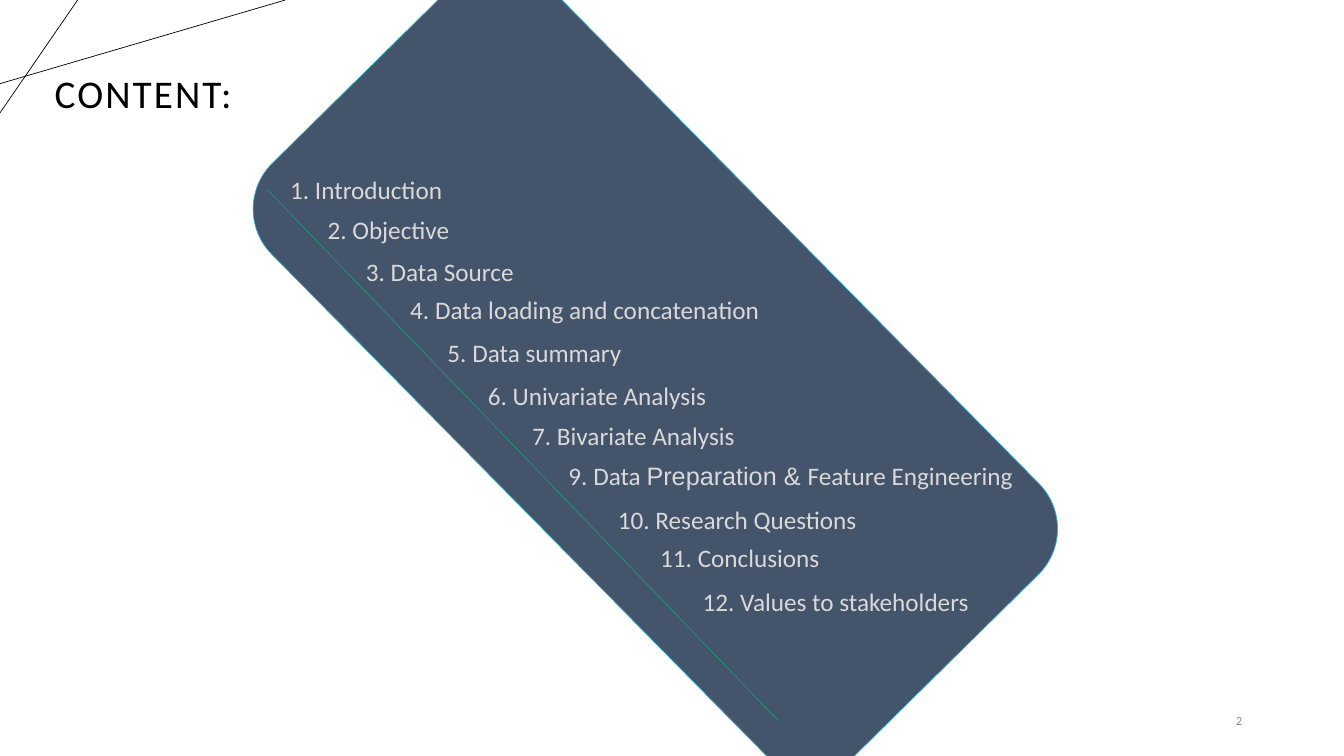
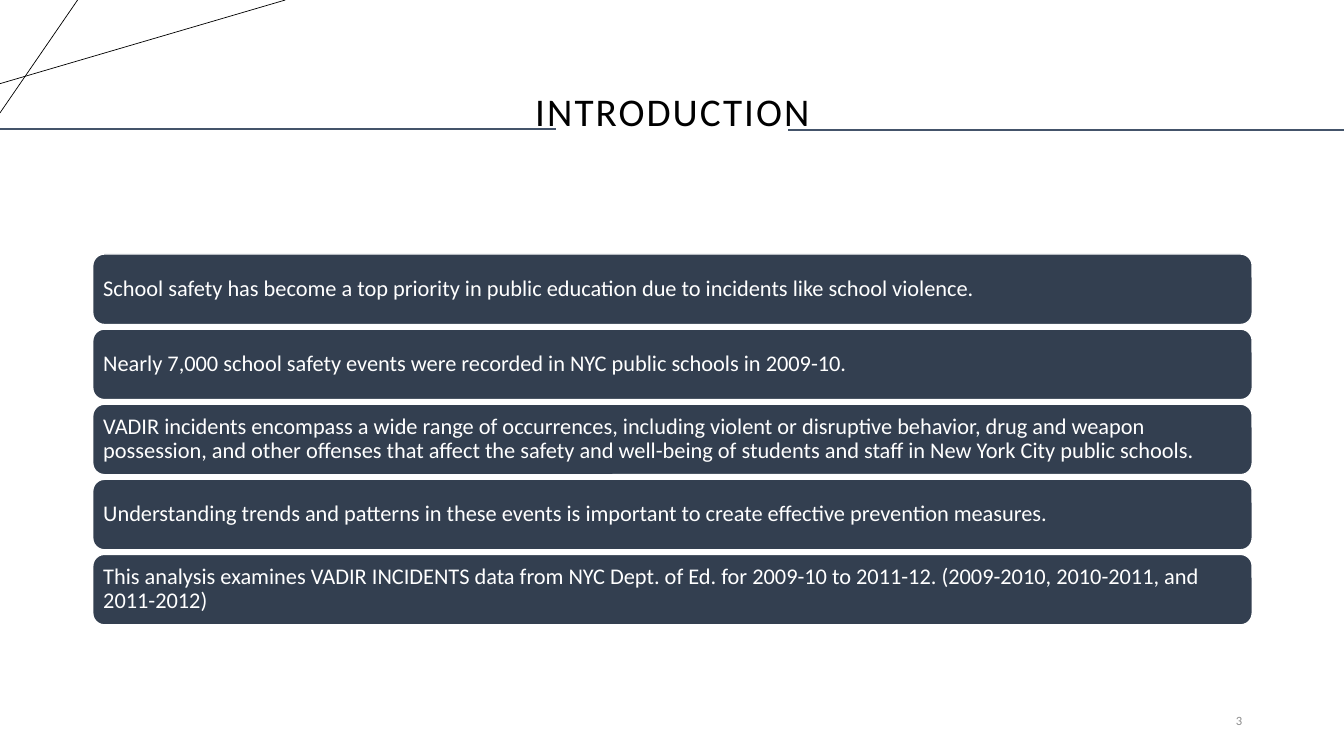
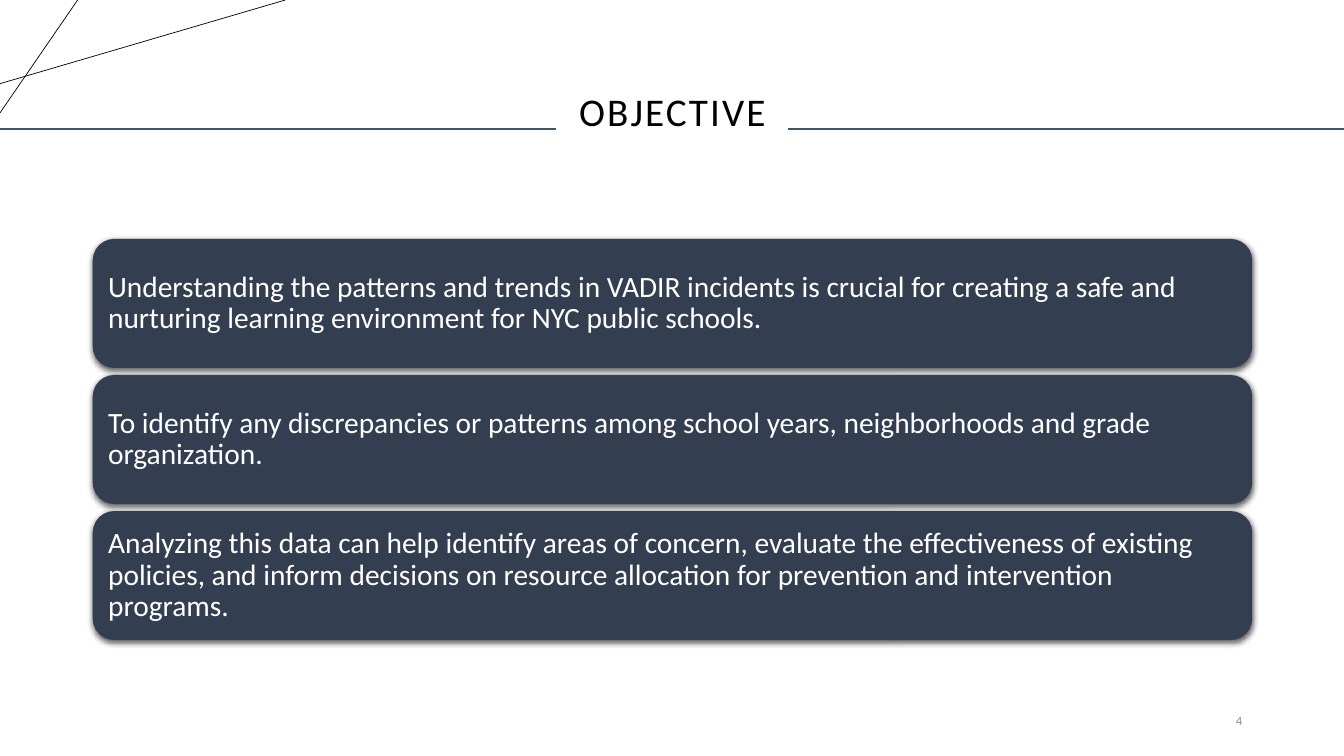
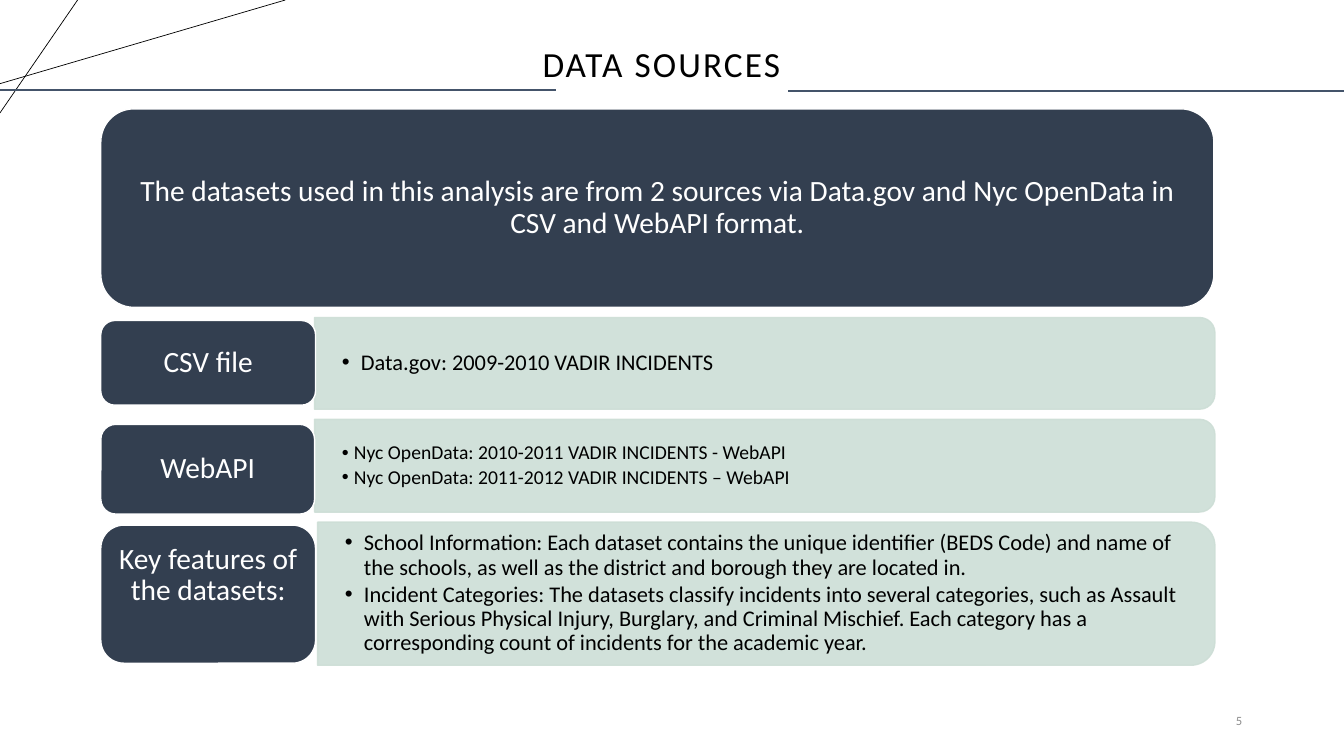
from lxml import etree
from pptx import Presentation
from pptx.dml.color import RGBColor
from pptx.enum.shapes import MSO_CONNECTOR, MSO_SHAPE
from pptx.enum.text import MSO_ANCHOR, PP_ALIGN
from pptx.oxml.ns import qn
from pptx.util import Inches, Pt

STRAIGHT = MSO_CONNECTOR.STRAIGHT
ROUNDED = MSO_SHAPE.ROUNDED_RECTANGLE
TWO_ROUNDED = MSO_SHAPE.ROUND_2_SAME_RECTANGLE
TOP, MIDDLE = MSO_ANCHOR.TOP, MSO_ANCHOR.MIDDLE
LEFT, CENTER, RIGHT = PP_ALIGN.LEFT, PP_ALIGN.CENTER, PP_ALIGN.RIGHT

BLACK = RGBColor(0x00, 0x00, 0x00)
WHITE = RGBColor(0xFF, 0xFF, 0xFF)
SLATE = RGBColor(0x44, 0x54, 0x6A)
NAVY = RGBColor(0x33, 0x3F, 0x50)
SAGE = RGBColor(0xCD, 0xDE, 0xD6)
CYAN = RGBColor(0x36, 0xAF, 0xCE)
GREEN = RGBColor(0x1D, 0x9A, 0x78)
PALE_GRAY = RGBColor(0xD9, 0xD9, 0xD9)
GRAY = RGBColor(0x8C, 0x8C, 0x8C)

FONT = "Calibri"
SLIDE_W, SLIDE_H = 13.33, 7.5
DEFAULT_INSETS = (0.1, 0.05, 0.1, 0.05)
LABEL_INSETS = (0.09, 0.04, 0.09, 0.04)
TITLE_BOX = (0.92, 0.4, 11.5, 1.45)
BAR_LEFT, BAR_W = 0.92, 11.5
PANEL_RIGHT = 12.05
LABEL_LEFT = 1

# left, top, width, runs of (text, font)
AGENDA = [
    (2.78, 1.68, 1.73, [("1. Introduction", FONT)]),
    (3.15, 2.08, 1.42, [("2. Objective", FONT)]),
    (3.53, 2.49, 1.68, [("3. Data Source", FONT)]),
    (3.97, 2.87, 3.71, [("4. Data loading and concatenation", FONT)]),
    (4.34, 3.3, 1.94, [("5. Data summary", FONT)]),
    (4.74, 3.72, 2.39, [("6. Univariate Analysis", FONT)]),
    (5.18, 4.12, 2.23, [("7. Bivariate Analysis", FONT)]),
    (5.54, 4.52, 4.63, [("9. Data ", FONT), ("Preparation & ", "Arial"),
                        ("Feature Engineering", FONT)]),
    (6.03, 4.95, 2.6, [("10. Research Questions", FONT)]),
    (6.45, 5.33, 1.8, [("11. Conclusions", FONT)]),
    (6.87, 5.77, 2.87, [("12. Values to stakeholders", FONT)]),
]

INTRODUCTION = [
    "School safety has become a top priority in public education due to incidents like school violence.",
    "Nearly 7,000 school safety events were recorded in NYC public schools in 2009-10.",
    "VADIR incidents encompass a wide range of occurrences, including violent or disruptive behavior, "
    "drug and weapon possession, and other offenses that affect the safety and well-being of students "
    "and staff in New York City public schools.",
    "Understanding trends and patterns in these events is important to create effective prevention measures.",
    "This analysis examines VADIR INCIDENTS data from NYC Dept. of Ed. for 2009-10 to 2011-12. "
    "(2009-2010, 2010-2011, and 2011-2012)",
]

OBJECTIVES = [
    "Understanding the patterns and trends in VADIR incidents is crucial for creating a safe and "
    "nurturing learning environment for NYC public schools.",
    "To identify any discrepancies or patterns among school years, neighborhoods and grade organization.",
    "Analyzing this data can help identify areas of concern, evaluate the effectiveness of existing "
    "policies, and inform decisions on resource allocation for prevention and intervention programs.",
]

SOURCE_SUMMARY = ("The datasets used in this analysis are from 2 sources via Data.gov and Nyc OpenData "
                  "in CSV and WebAPI format.")
CSV_POINTS = ["Data.gov: 2009-2010 VADIR INCIDENTS"]
WEBAPI_POINTS = [
    "Nyc OpenData: 2010-2011 VADIR INCIDENTS - WebAPI",
    "Nyc OpenData: 2011-2012 VADIR INCIDENTS – WebAPI",
]
FEATURE_POINTS = [
    "School Information: Each dataset contains the unique identifier (BEDS Code) and name of the "
    "schools, as well as the district and borough they are located in.",
    "Incident Categories: The datasets classify incidents into several categories, such as Assault "
    "with Serious Physical Injury, Burglary, and Criminal Mischief. Each category has a corresponding "
    "count of incidents for the academic year.",
]


def add_line(slide, start, end, color, weight):
    line = slide.shapes.add_connector(STRAIGHT, *map(Inches, start + end))
    line.line.color.rgb = color
    line.line.width = Pt(weight)
    etree.SubElement(line.element.spPr, qn("a:effectLst"))


def add_block(slide, kind, box, fill, outline=None, weight=1):
    block = slide.shapes.add_shape(kind, *map(Inches, box))
    block.shadow.inherit = False
    block.fill.solid()
    block.fill.fore_color.rgb = fill
    if outline is None:
        block.line.fill.background()
    else:
        block.line.color.rgb = outline
        block.line.width = Pt(weight)
    return block


def set_frame(shape, insets=DEFAULT_INSETS, anchor=MIDDLE, wrap=True):
    frame = shape.text_frame
    frame.word_wrap = wrap
    frame.vertical_anchor = anchor
    (frame.margin_left, frame.margin_top,
     frame.margin_right, frame.margin_bottom) = map(Inches, insets)
    return frame


def add_text_box(slide, box, **frame_options):
    return set_frame(slide.shapes.add_textbox(*map(Inches, box)), **frame_options)


def style_paragraph(paragraph, align=LEFT, spacing=None, after=None):
    paragraph.alignment = align
    paragraph.line_spacing = spacing
    if after is not None:
        paragraph.space_after = Pt(after)


def add_run(paragraph, text, size, color, font=FONT):
    run = paragraph.add_run()
    run.text = text
    run.font.size = Pt(size)
    run.font.name = font
    run.font.color.rgb = color
    return run


def add_bullet(paragraph, hang):
    properties = paragraph._p.get_or_add_pPr()
    properties.set("marL", str(Inches(hang)))
    properties.set("indent", str(-Inches(hang)))
    etree.SubElement(properties, qn("a:buFont"), typeface="Arial")
    etree.SubElement(properties, qn("a:buChar"), char="•")


def add_soft_shadow(shape):
    effects = shape.element.spPr.find(qn("a:effectLst"))
    shadow = etree.SubElement(effects, qn("a:outerShdw"), blurRad=str(Pt(4.5)), dist=str(Pt(1.5)),
                              dir="5400000", algn="ctr", rotWithShape="0")
    color = etree.SubElement(shadow, qn("a:srgbClr"), val=str(BLACK))
    etree.SubElement(color, qn("a:alpha"), val="63000")


def make_translucent(shape, percent):
    for color in shape.element.spPr.iter(qn("a:srgbClr")):
        etree.SubElement(color, qn("a:alpha"), val=str(percent * 1000))


def start_slide(deck, number):
    """Add a slide with the corner lines and the slide number."""
    slide = deck.slides.add_slide(deck.slide_layouts[6])
    add_line(slide, (0, 0.83), (2.83, 0), BLACK, 0.5)
    add_line(slide, (0.77, 0), (0, 1.12), BLACK, 0.5)
    paragraph = add_text_box(slide, (9.42, 6.95, 3, 0.4)).paragraphs[0]
    style_paragraph(paragraph, RIGHT)
    add_run(paragraph, str(number), 9, GRAY)
    return slide


def add_title(slide, text, box=TITLE_BOX, size=28):
    paragraph = add_text_box(slide, box).paragraphs[0]
    style_paragraph(paragraph, CENTER, 0.9)
    run = add_run(paragraph, text, size, BLACK)
    run.font._element.set("spc", "150")


def add_title_rules(slide, left_y, right_y):
    rule_w = 5.51
    add_line(slide, (0, left_y), (rule_w, left_y), SLATE, 1.5)
    add_line(slide, (SLIDE_W - rule_w, right_y), (SLIDE_W, right_y), SLATE, 1.5)


def add_card(slide, box, text, size, align=CENTER, insets=LABEL_INSETS, outline=WHITE):
    card = add_block(slide, ROUNDED, box, NAVY, outline)
    paragraph = set_frame(card, insets).paragraphs[0]
    style_paragraph(paragraph, align, 0.9, 0.35 * size)
    add_run(paragraph, text, size, WHITE)
    return card


def add_bars(slide, texts, top, height, pitch, size, inset, outline=None):
    """Stack full-width cards at an even pitch."""
    return [add_card(slide, (BAR_LEFT, top + row * pitch, BAR_W, height), text, size,
                     LEFT, (inset,) * 4, outline)
            for row, text in enumerate(texts)]


def add_panel(slide, left, top, height, points, size, hang):
    """Add a bulleted panel whose right-hand corners are rounded."""
    width = PANEL_RIGHT - left
    turned_box = (left + (width - height) / 2, top + (height - width) / 2, height, width)
    panel = add_block(slide, TWO_ROUNDED, turned_box, SAGE, SAGE)
    panel.rotation = 90
    make_translucent(panel, 90)
    frame = add_text_box(slide, (left, top, width - 0.04, height), insets=(0.27, 0.14, 0.27, 0.14))
    for index, point in enumerate(points):
        paragraph = frame.add_paragraph() if index else frame.paragraphs[0]
        style_paragraph(paragraph, LEFT, 0.9, 0.15 * size)
        add_bullet(paragraph, hang)
        add_run(paragraph, point, size, BLACK)


def build_content(deck):
    slide = start_slide(deck, 2)
    band = add_block(slide, ROUNDED, (4.59, -0.46, 3.82, 8.24), SLATE, CYAN, 0.5)
    band.rotation = 315.4
    add_title(slide, "CONTENT:", (0.06, 0.23, 2.72, 1.45))
    add_line(slide, (2.65, 1.88), (7.72, 7.15), GREEN, 0.5)
    for left, top, width, runs in AGENDA:
        entry = add_text_box(slide, (left, top, width, 0.4), anchor=TOP, wrap=False).paragraphs[0]
        for text, font in runs:
            add_run(entry, text, 18, PALE_GRAY, font)


def build_introduction(deck):
    slide = start_slide(deck, 3)
    add_title(slide, "INTRODUCTION")
    add_bars(slide, INTRODUCTION, 2.52, 0.7, 0.745, 16, 0.07, WHITE)
    add_title_rules(slide, 1.28, 1.29)


def build_objective(deck):
    slide = start_slide(deck, 4)
    add_title(slide, "OBJECTIVE")
    for bar in add_bars(slide, OBJECTIVES, 2.37, 1.28, 1.35, 21, 0.09):
        add_soft_shadow(bar)
    add_title_rules(slide, 1.28, 1.28)


def build_data_sources(deck):
    slide = start_slide(deck, 5)
    add_title(slide, "DATA SOURCES", (5.19, 0.43, 2.74, 0.46), 25.2)
    add_title_rules(slide, 0.89, 0.9)
    add_card(slide, (LABEL_LEFT, 1.08, 11.04, 1.97), SOURCE_SUMMARY, 21)

    add_panel(slide, 3.12, 3.15, 0.91, CSV_POINTS, 16, 0.19)
    add_card(slide, (LABEL_LEFT, 3.18, 2.13, 0.84), "CSV file", 21)

    add_panel(slide, 3.12, 4.16, 0.92, WEBAPI_POINTS, 14, 0.12)
    add_card(slide, (LABEL_LEFT, 4.21, 2.12, 0.89), "WebAPI", 21)

    add_panel(slide, 3.15, 5.18, 1.42, FEATURE_POINTS, 16, 0.19)
    add_card(slide, (LABEL_LEFT, 5.21, 2.13, 1.37), "Key features of the datasets:", 21,
             insets=(0.09, 0.04, 0.09, 0.41))


def main():
    deck = Presentation()
    deck.slide_width, deck.slide_height = Inches(SLIDE_W), Inches(SLIDE_H)
    build_content(deck)
    build_introduction(deck)
    build_objective(deck)
    build_data_sources(deck)
    deck.save("out.pptx")


if __name__ == "__main__":
    main()
